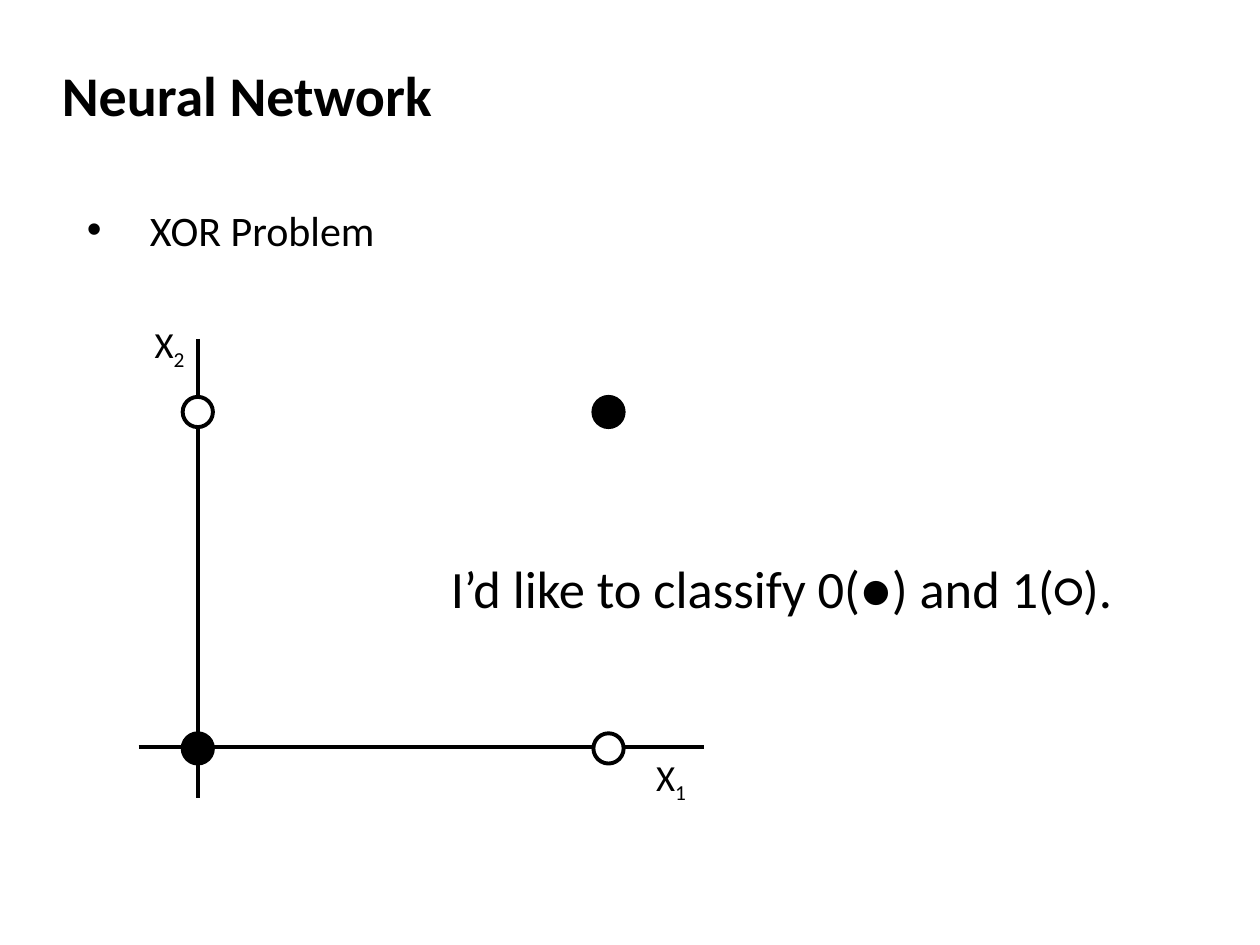
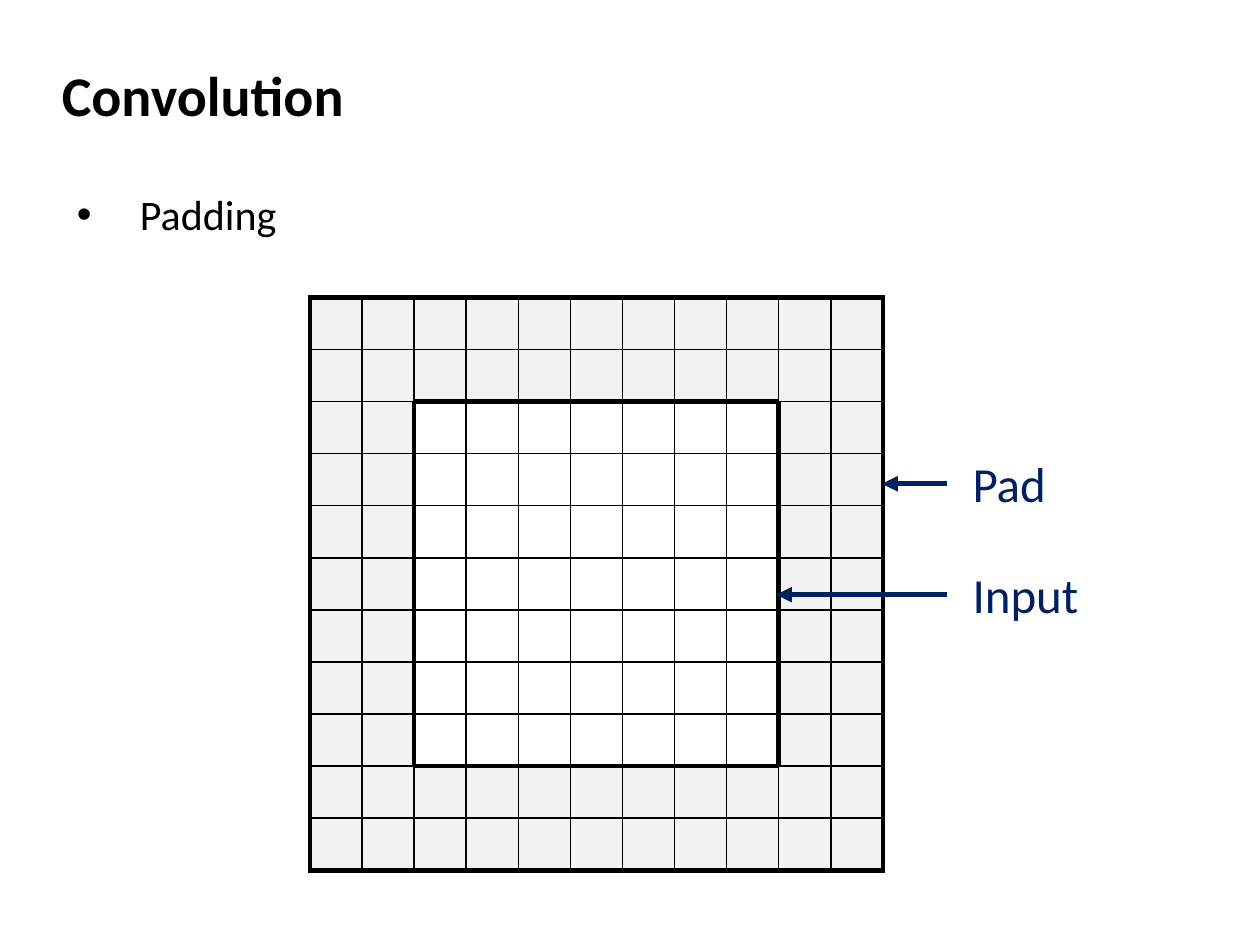
"""Builds two slides: the XOR problem and padding in a convolution."""
from itertools import product
from lxml.etree import SubElement
from pptx import Presentation
from pptx.dml.color import RGBColor as Rgb
from pptx.enum.shapes import MSO_CONNECTOR as Link, MSO_SHAPE as Shape
from pptx.enum.text import MSO_ANCHOR as Anchor, PP_ALIGN as Align
from pptx.oxml import parse_xml
from pptx.oxml.ns import nsdecls, qn
from pptx.util import Inches, Pt

INK = {"black": "000000", "white": "FFFFFF", "gray": "F2F2F2", "navy": "002060"}
FACE = "Calibri"
SLIM = (0.07, 0.06)
WIDE = (0.1, 0.05)

XOR = {"title": "Neural Network", "point": "XOR Problem", "at": (0.62, 1.36, 9.38, 1.14), "gap": 1.5}
PAD = {"title": "Convolution", "point": "Padding", "at": (0.54, 1.38, 9.38, 2.36), "gap": 1.14}

AXES = [((1.57, 2.69), (1.57, 6.33)), ((1.1, 5.93), (5.59, 5.93))]
NAMES = [("2", 1.04, 2.49), ("1", 5.02, 5.93)]
DOT_X, DOT_Y, DOT = (1.45, 4.71), (5.82, 3.15), 0.24
GOAL = "I’d like to classify 0(●) and 1(○)."

GRID = (2.46, 2.36, 4.55)
COUNT, RIM = 11, 2
THICK, THIN = 3, 1
NOTES = [("Input", 6.16, 4.72), ("Pad", 7, 3.84)]


def color(name):
    return Rgb.from_string(INK[name])


def place(at):
    return [Inches(v) for v in at]


def frame(shape, inset=SLIM, align=Align.LEFT):
    body = shape.text_frame
    body.word_wrap = True
    body.vertical_anchor = Anchor.TOP
    body.margin_left = body.margin_right = Inches(inset[0])
    body.margin_top = body.margin_bottom = Inches(inset[1])
    para = body.paragraphs[0]
    para.alignment = align
    return para


def write(para, text, size, ink="black", bold=False):
    run = para.add_run()
    run.text = text
    font = run.font
    font.name, font.size, font.bold = FACE, Pt(size), bold
    font.color.rgb = color(ink)
    return run


def label(slide, at, inset=SLIM, align=Align.CENTER):
    return frame(slide.shapes.add_textbox(*place(at)), inset, align)


def line(slide, start, end, ink, width, arrow=False):
    link = slide.shapes.add_connector(Link.STRAIGHT, *place(start + end))
    link.line.color.rgb = color(ink)
    link.line.width = Pt(width)
    if arrow:
        SubElement(link.line._get_or_add_ln(), qn("a:tailEnd"), type="triangle")
    SubElement(link._element.spPr, qn("a:effectLst"))


def start(deck, page):
    slide = deck.slides.add_slide(deck.slide_layouts[5])
    title = slide.shapes.title
    title.left, title.top, title.width, title.height = place((0.42, 0.42, 9.42, 0.59))
    write(frame(title), page["title"], 32, bold=True)
    para = label(slide, page["at"], align=Align.LEFT)
    para.line_spacing = page["gap"]
    props = para._p.get_or_add_pPr()
    props.set("marL", str(Inches(0.5)))
    props.set("indent", str(-Inches(0.5)))
    SubElement(props, qn("a:buFont"), typeface="Arial")
    SubElement(props, qn("a:buChar"), char="•")
    write(para, page["point"], 24)
    return slide


def plot(slide):
    for tip, end in AXES:
        line(slide, tip, end, "black", 2.25)
    for (i, x), (j, y) in product(enumerate(DOT_X), enumerate(DOT_Y)):
        dot = slide.shapes.add_shape(Shape.OVAL, *place((x, y, DOT, DOT)))
        dot.shadow.inherit = False
        dot.fill.solid()
        dot.fill.fore_color.rgb = color("black" if i == j else "white")
        dot.line.color.rgb = color("black")
        dot.line.width = Pt(2.25)
    for sub, x, y in NAMES:
        para = label(slide, (x, y, 0.61, 0.54))
        write(para, "X", 21)
        low = write(para, sub, 21)
        low.font._element.set("baseline", "-25000")
    write(label(slide, (2.9, 4.35, 6.61, 0.59)), GOAL, 30)


def weight(edge, lane):
    inner = edge in (RIM, COUNT - RIM) and RIM <= lane < COUNT - RIM
    return THICK if edge in (0, COUNT) or inner else THIN


def border(cell, row, col):
    sides = {"L": weight(col, row), "R": weight(col + 1, row),
             "T": weight(row, col), "B": weight(row + 1, col)}
    props = cell._tc.get_or_add_tcPr()
    for spot, (side, width) in enumerate(sides.items()):
        props.insert(spot, parse_xml(
            f'<a:ln{side} {nsdecls("a")} w="{Pt(width)}"><a:solidFill>'
            f'<a:srgbClr val="{INK["black"]}"/></a:solidFill></a:ln{side}>'))


def grid(slide):
    x, y, size = GRID
    table = slide.shapes.add_table(COUNT, COUNT, *place((x, y, size, size))).table
    table.first_row = table.horz_banding = False
    for col in table.columns:
        col.width = Inches(size / COUNT)
    for row in table.rows:
        row.height = Inches(size / COUNT)
    core = range(RIM, COUNT - RIM)
    for row, col in product(range(COUNT), repeat=2):
        cell = table.cell(row, col)
        cell.fill.solid()
        cell.fill.fore_color.rgb = color("white" if row in core and col in core else "gray")
        border(cell, row, col)


def notes(slide):
    for text, x, y in NOTES:
        line(slide, (7.52, y), (x, y), "navy", 3, arrow=True)
        para = label(slide, (7.62, y - 0.29, 1.85, 0.57), WIDE, Align.LEFT)
        write(para, text, 28, "navy")


def main():
    deck = Presentation()
    deck.slide_width, deck.slide_height = Inches(10), Inches(7.5)
    plot(start(deck, XOR))
    slide = start(deck, PAD)
    grid(slide)
    notes(slide)
    deck.save("out.pptx")


if __name__ == "__main__":
    main()
